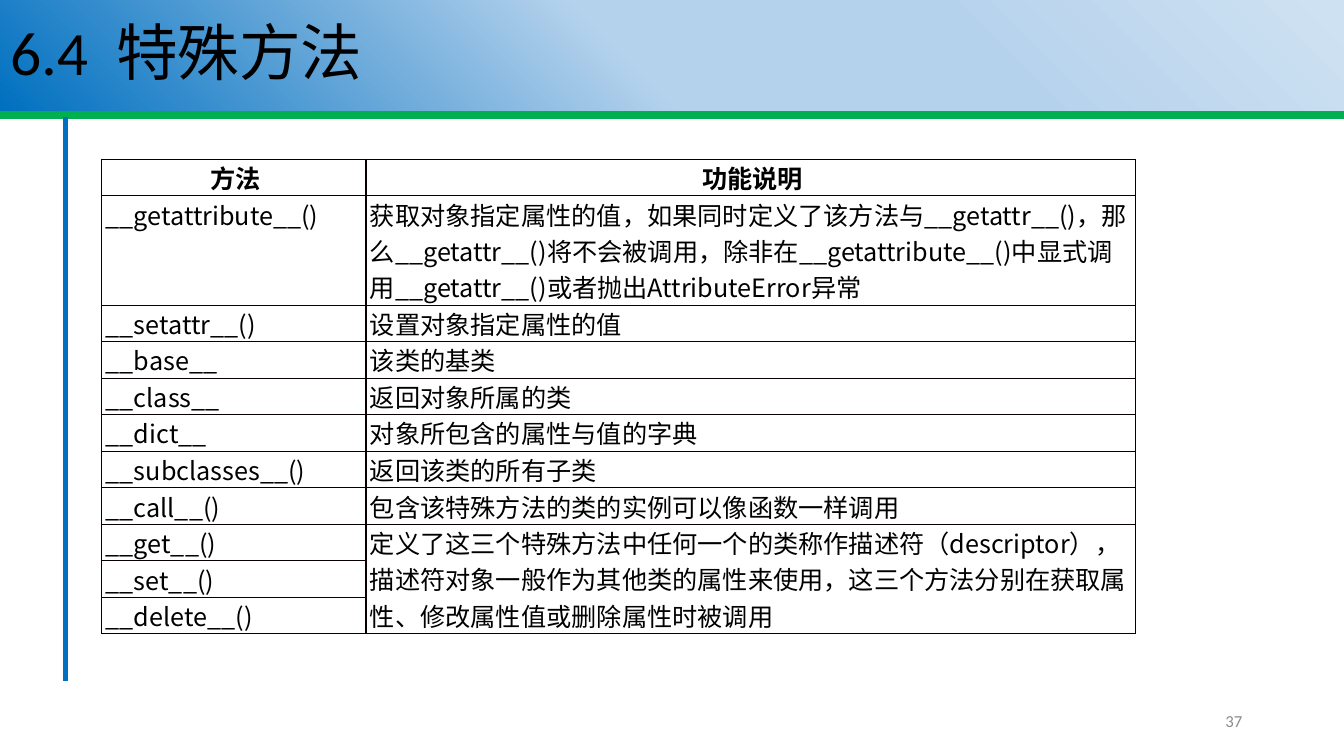
"""Build the slide on special methods, with a title band and a method table."""
from lxml import etree
from pptx import Presentation
from pptx.dml.color import RGBColor
from pptx.enum.shapes import MSO_CONNECTOR
from pptx.enum.text import MSO_ANCHOR, MSO_AUTO_SIZE, PP_ALIGN
from pptx.oxml import parse_xml
from pptx.oxml.ns import nsdecls, qn
from pptx.util import Inches, Pt

TITLE = "6.4  特殊方法"
PAGE_NUMBER = "37"
HEADER = ("方法", "功能说明")
METHODS = [
    ("__getattribute__()", "获取对象指定属性的值，如果同时定义了该方法与__getattr__()，"
     "那么__getattr__()将不会被调用，除非在__getattribute__()中显式调用"
     "__getattr__()或者抛出AttributeError异常"),
    ("__setattr__()", "设置对象指定属性的值"),
    ("__base__", "该类的基类"),
    ("__class__", "返回对象所属的类"),
    ("__dict__", "对象所包含的属性与值的字典"),
    ("__subclasses__()", "返回该类的所有子类"),
    ("__call__()", "包含该特殊方法的类的实例可以像函数一样调用"),
]
DESCRIPTOR_METHODS = ("__get__()", "__set__()", "__delete__()")
DESCRIPTOR_TEXT = ("定义了这三个特殊方法中任何一个的类称作描述符（descriptor），"
                   "描述符对象一般作为其他类的属性来使用，这三个方法分别在获取属性、"
                   "修改属性值或删除属性时被调用")

LATIN_FONT, CJK_FONT = "Calibri", "Noto Sans CJK SC"
BLACK = RGBColor(0, 0, 0)
GRAY = RGBColor(0x8C, 0x8C, 0x8C)
GREEN = RGBColor(0x00, 0xB0, 0x50)
BLUE = RGBColor(0x00, 0x70, 0xC0)
BORDER = RGBColor(0x08, 0x00, 0x00)
PALE = RGBColor(0xCE, 0xE1, 0xF2)
LIGHT = RGBColor(0xB5, 0xD2, 0xEC)
BAND_STOPS = [(1, PALE), (29, LIGHT), (53, LIGHT), (100, BLUE)]
BAND_ANGLE = 135
COLUMN_WIDTHS = (2.62, 7.63)
LINE_HEIGHT = 0.36


def write(frame, text, size, color, font, align=PP_ALIGN.LEFT, bold=False):
    paragraph = frame.paragraphs[0]
    paragraph.alignment = align
    run = paragraph.add_run()
    run.text = text
    run.font.name, run.font.size, run.font.bold = font, Pt(size), bold
    run.font.color.rgb = color
    etree.SubElement(run.font._element, qn("a:ea")).set("typeface", CJK_FONT)
    return paragraph


def add_rule(shapes, start, end, color, width):
    points = [Inches(value) for value in start + end]
    rule = shapes.add_connector(MSO_CONNECTOR.STRAIGHT, *points)
    rule.line.color.rgb, rule.line.width = color, Pt(width)
    etree.SubElement(rule._element.spPr, qn("a:effectLst"))


def fill_band(shape):
    stops = "".join(f'<a:gs pos="{pos * 1000}"><a:srgbClr val="{color}"/></a:gs>'
                    for pos, color in BAND_STOPS)
    shape._element.spPr.append(parse_xml(
        f'<a:gradFill {nsdecls("a")} rotWithShape="1"><a:gsLst>{stops}</a:gsLst>'
        f'<a:lin ang="{BAND_ANGLE * 60000}" scaled="1"/></a:gradFill>'))


def format_cell(cell):
    cell.margin_left = Inches(0.04)
    cell.margin_right = cell.margin_top = cell.margin_bottom = 0
    properties = cell._tc.get_or_add_tcPr()
    for side in ("lnL", "lnR", "lnT", "lnB"):
        properties.append(parse_xml(
            f'<a:{side} {nsdecls("a")} w="{Pt(1)}"><a:solidFill>'
            f'<a:srgbClr val="{BORDER}"/></a:solidFill></a:{side}>'))
    cell.fill.background()


def add_title(slide):
    title = slide.shapes.title
    title.left, title.top = 0, 0
    title.width, title.height = Inches(13.33), Inches(1.1)
    fill_band(title)
    frame = title.text_frame
    frame.auto_size, frame.vertical_anchor = MSO_AUTO_SIZE.NONE, MSO_ANCHOR.MIDDLE
    write(frame, TITLE, 44, BLACK, LATIN_FONT).line_spacing = 0.9


def add_method_table(slide):
    rows = [HEADER] + METHODS + [(name, "") for name in DESCRIPTOR_METHODS]
    first = len(rows) - len(DESCRIPTOR_METHODS)
    rows[first] = (DESCRIPTOR_METHODS[0], DESCRIPTOR_TEXT)
    table = slide.shapes.add_table(
        len(rows), len(HEADER), Inches(1.01), Inches(1.58),
        Inches(sum(COLUMN_WIDTHS)), Inches(LINE_HEIGHT * len(rows))).table
    table.first_row = table.horz_banding = False
    for column, width in zip(table.columns, COLUMN_WIDTHS):
        column.width = Inches(width)
    for r, row in enumerate(rows):
        table.rows[r].height = Inches(LINE_HEIGHT)
        for c, text in enumerate(row):
            cell = table.cell(r, c)
            format_cell(cell)
            if text:
                align = PP_ALIGN.LEFT if r else PP_ALIGN.CENTER
                write(cell.text_frame, text, 18, BLACK, CJK_FONT, align, r == 0)
    table.rows[1].height = Inches(LINE_HEIGHT * 3)
    table.cell(first, 1).merge(table.cell(len(rows) - 1, 1))


def add_page_number(slide):
    box = slide.shapes.add_textbox(Inches(9.42), Inches(6.95), Inches(3), Inches(0.4))
    frame = box.text_frame
    frame.word_wrap, frame.vertical_anchor = True, MSO_ANCHOR.MIDDLE
    write(frame, PAGE_NUMBER, 12, GRAY, LATIN_FONT, PP_ALIGN.RIGHT)


presentation = Presentation()
presentation.slide_width, presentation.slide_height = Inches(13.33), Inches(7.5)
slide = presentation.slides.add_slide(presentation.slide_layouts[5])
add_title(slide)
add_rule(slide.shapes, (0, 1.14), (13.33, 1.14), GREEN, 5.25)
add_rule(slide.shapes, (0.65, 1.16), (0.65, 6.76), BLUE, 3.75)
add_method_table(slide)
add_page_number(slide)
presentation.save("out.pptx")
